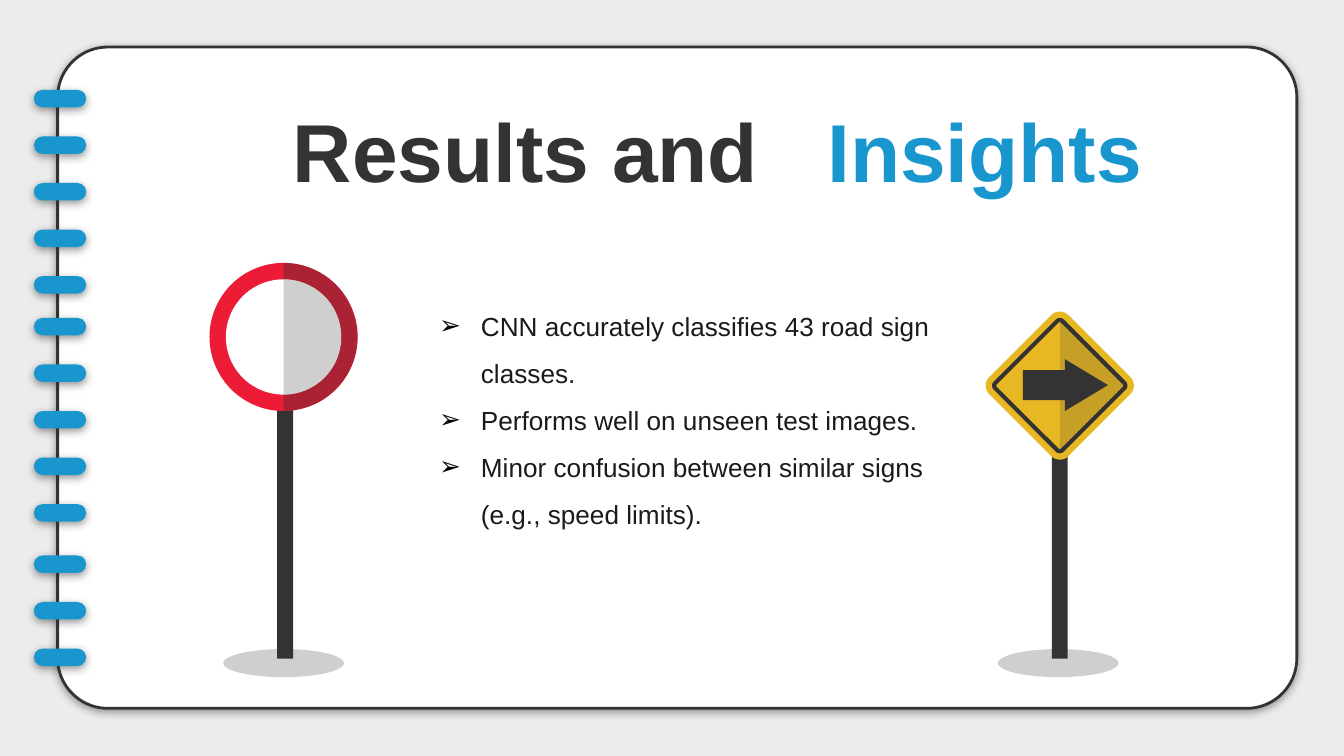
from math import cos, radians, sin

from lxml.etree import SubElement
from pptx import Presentation
from pptx.dml.color import RGBColor
from pptx.enum.shapes import MSO_SHAPE
from pptx.enum.text import MSO_ANCHOR, MSO_AUTO_SIZE, PP_ALIGN
from pptx.oxml.ns import qn
from pptx.util import Cm, Pt

COLORS = {
    "desk": "ECECEC", "paper": "FFFFFF", "dark": "333333", "blue": "1A96CF",
    "red": "EC1B36", "yellow": "E7B724", "text": "1A1A1A", "bullet": "000000",
}
FONT = "Arial"


def arc(center_x, center_y, radius, start, end, steps=24):
    """Points on a circle, with angles in degrees clockwise from the right."""
    angles = [radians(start + (end - start) * i / steps) for i in range(steps + 1)]
    return [(center_x + radius * cos(a), center_y + radius * sin(a)) for a in angles]


def rounded_diamond(center_x, center_y, reach, radius):
    """Four quarter-circle corners, each centred at reach from the middle."""
    points = []
    for angle in (0, 90, 180, 270):
        x = center_x + reach * cos(radians(angle))
        y = center_y + reach * sin(radians(angle))
        points += arc(x, y, radius, angle - 45, angle + 45, 8)
    return points


class SlideBuilder:
    def __init__(self, slide):
        self.slide = slide
        self.shapes = slide.shapes

    def color(self, name):
        return RGBColor.from_string(COLORS[name])

    def background(self, name):
        fill = self.slide.background.fill
        fill.solid()
        fill.fore_color.rgb = self.color(name)

    def start_group(self):
        self.shapes = self.slide.shapes.add_group_shape().shapes

    def end_group(self):
        self.shapes = self.slide.shapes

    def paint(self, shape, fill, line=None, width=1.5, alpha=None, shadow=False):
        shape.fill.solid()
        shape.fill.fore_color.rgb = self.color(fill)
        if line:
            shape.line.color.rgb = self.color(line)
            shape.line.width = Pt(width)
        else:
            shape.line.fill.background()
        shape.shadow.inherit = False
        properties = shape.element.spPr
        if alpha:
            tint = properties.find(qn("a:solidFill"))[0]
            SubElement(tint, qn("a:alpha"), val=str(alpha * 1000))
        if shadow:
            outer = SubElement(
                properties.find(qn("a:effectLst")), qn("a:outerShdw"),
                blurRad=str(Pt(4.5)), dist=str(Pt(1.5)), dir="5400000",
                algn="bl", rotWithShape="0")
            shade = SubElement(outer, qn("a:srgbClr"), val=COLORS["dark"])
            SubElement(shade, qn("a:alpha"), val="50000")

    def preset(self, kind, left, top, width, height, fill, adjust=(), **style):
        shape = self.shapes.add_shape(kind, Cm(left), Cm(top), Cm(width), Cm(height))
        for i, value in enumerate(adjust):
            shape.adjustments[i] = value
        self.paint(shape, fill, **style)

    def disc(self, center_x, center_y, radius, fill):
        self.preset(MSO_SHAPE.OVAL, center_x - radius, center_y - radius,
                    2 * radius, 2 * radius, fill)

    def outline(self, points, fill, **style):
        corners = [(Cm(x), Cm(y)) for x, y in points]
        builder = self.shapes.build_freeform(*corners[0])
        builder.add_line_segments(corners[1:], close=True)
        self.paint(builder.convert_to_shape(), fill, **style)

    def run(self, paragraph, text, size, color, bold=False):
        run = paragraph.add_run()
        run.text = text
        run.font.name = FONT
        run.font.size = Pt(size)
        run.font.bold = bold
        run.font.color.rgb = self.color(color)
        return run

    def title(self, left, top, width, height, dark_words, blue_words):
        title = self.slide.shapes.title
        title.left, title.top = Cm(left), Cm(top)
        title.width, title.height = Cm(width), Cm(height)
        # Bring the title in front of the notebook page
        title.element.getparent().append(title.element)
        frame = title.text_frame
        frame.auto_size = MSO_AUTO_SIZE.NONE
        frame.word_wrap = True
        frame.vertical_anchor = MSO_ANCHOR.MIDDLE
        frame.margin_left = frame.margin_right = Cm(0.25)
        frame.margin_top = frame.margin_bottom = Cm(0.25)
        heading = frame.paragraphs[0]
        heading.alignment = PP_ALIGN.CENTER
        heading.line_spacing = 0.8
        self.run(heading, dark_words, 44, "dark", True)
        # Wide word gap through character spacing
        gap = self.run(heading, " ", 44, "dark", True)
        gap.font._element.set("spc", "1220")
        self.run(heading, blue_words, 44, "blue", True)

    def bullets(self, left, top, width, height, findings):
        box = self.shapes.add_textbox(Cm(left), Cm(top), Cm(width), Cm(height))
        frame = box.text_frame
        frame.word_wrap = True
        frame.auto_size = MSO_AUTO_SIZE.SHAPE_TO_FIT_TEXT
        for i, finding in enumerate(findings):
            paragraph = frame.add_paragraph() if i else frame.paragraphs[0]
            paragraph.line_spacing = 1.5
            self.run(paragraph, finding, 14, "text")
            properties = paragraph._p.get_or_add_pPr()
            properties.set("marL", str(Cm(0.79)))
            properties.set("indent", str(-Cm(0.79)))
            bullet_color = SubElement(properties, qn("a:buClr"))
            SubElement(bullet_color, qn("a:srgbClr"), val=COLORS["bullet"])
            SubElement(properties, qn("a:buFont"), typeface=FONT)
            SubElement(properties, qn("a:buChar"), char="➢")

    def post(self, center_x):
        self.preset(MSO_SHAPE.RECTANGLE, center_x - 0.15, 7.37, 0.3, 5.08, "dark")

    def ground_shade(self, center_x):
        self.preset(MSO_SHAPE.OVAL, center_x - 1.14, 12.27, 2.28, 0.53,
                    "dark", alpha=23)


def main():
    presentation = Presentation()
    presentation.slide_width, presentation.slide_height = Cm(25.4), Cm(14.29)
    page = SlideBuilder(presentation.slides.add_slide(presentation.slide_layouts[5]))

    # Notebook page and its binding rings
    page.background("desk")
    page.preset(MSO_SHAPE.ROUNDED_RECTANGLE, 1.09, 0.89, 23.42, 12.5, "paper",
                [0.076], line="dark", shadow=True)
    page.start_group()
    for first_top, count in ((1.7, 5), (6.01, 5), (10.5, 3)):
        for ring in range(count):
            page.preset(MSO_SHAPE.ROUNDED_RECTANGLE, 0.64, first_top + 0.88 * ring,
                        0.99, 0.33, "blue", [0.5], shadow=True)
    page.end_group()

    page.title(5.08, 1.83, 16.97, 2.34, "Results and ", "Insights")

    # Round road sign with a shaded right half
    round_x, round_y = 5.36, 6.37
    page.start_group()
    page.post(round_x + 0.03)
    for radius, fill, alpha in ((1.4, "red", 36), (1.09, "paper", 23)):
        page.disc(round_x, round_y, radius, fill)
        page.outline(arc(round_x, round_y, radius, -90, 90), "dark", alpha=alpha)
    page.ground_shade(round_x)
    page.end_group()

    # Diamond road sign with an arrow
    diamond_x, diamond_y = 20.03, 7.29
    page.start_group()
    page.post(diamond_x)
    page.ground_shade(diamond_x - 0.03)
    page.outline(rounded_diamond(diamond_x, diamond_y, 1.17, 0.23), "yellow")
    page.outline(rounded_diamond(diamond_x, diamond_y, 1.17, 0.07), "yellow",
                 line="dark", width=2.25)
    page.outline(arc(diamond_x, diamond_y, 1.27, -90, 90, 2), "dark", alpha=18)
    page.preset(MSO_SHAPE.RIGHT_ARROW, 19.33, 6.79, 1.61, 0.98, "dark", [0.58, 0.83])
    page.end_group()

    # Findings
    page.bullets(8.05, 5.44, 9.96, 4.62, [
        "CNN accurately classifies 43 road sign classes.",
        "Performs well on unseen test images.",
        "Minor confusion between similar signs (e.g., speed limits).",
    ])

    presentation.save("out.pptx")


if __name__ == "__main__":
    main()
